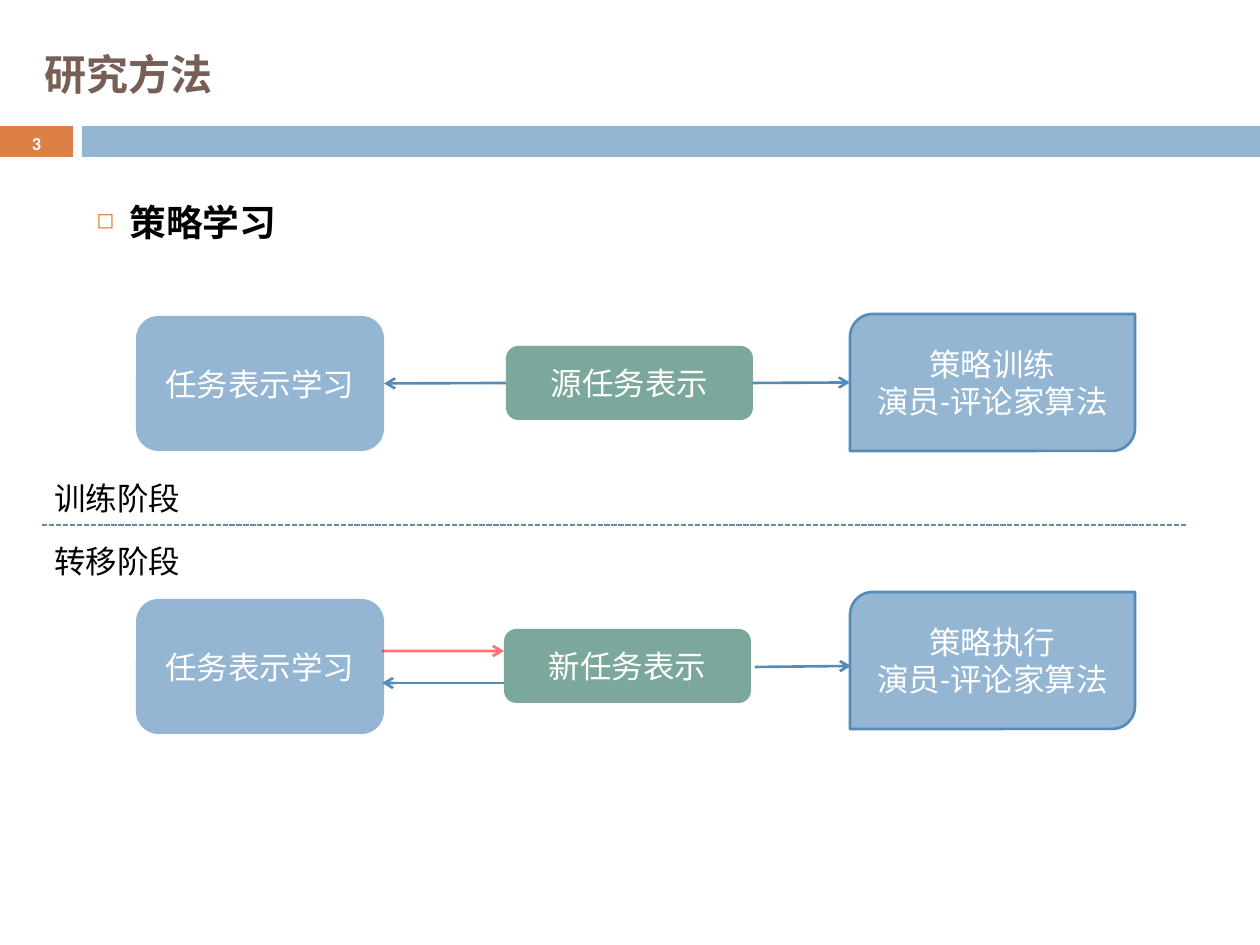
import pptx
import pptx.dml.color
import pptx.enum.dml
import pptx.enum.shapes
import pptx.enum.text
import pptx.oxml
import pptx.oxml.ns
import pptx.util

EMU_PER_PX = 914400 / 126
SHAPE = pptx.enum.shapes.MSO_SHAPE
ANCHOR = pptx.enum.text.MSO_ANCHOR
ALIGN = pptx.enum.text.PP_ALIGN
TOP, LEFT, BOTTOM, RIGHT = range(4)

BLUE, DARK_BLUE, GREEN, ORANGE = "94B6D2", "558BB8", "7BA79D", "DD8047"
WHITE, BLACK = "FFFFFF", "000000"


def px(length):
    return pptx.util.Emu(round(length * EMU_PER_PX))


def color(value):
    return pptx.dml.color.RGBColor.from_string(value)


def add_xml(parent, tag, **attributes):
    element = parent.makeelement(pptx.oxml.ns.qn(tag), attributes)
    parent.append(element)
    return element


def write(box, text, size, font, fill, bold=False, align=None, anchor=ANCHOR.MIDDLE):
    frame = box.text_frame
    frame.word_wrap = True
    frame.vertical_anchor = anchor
    frame.text = text
    for para in frame.paragraphs:
        para.alignment = align
        for span in para.runs:
            span.font.size = pptx.util.Pt(size)
            span.font.name = font
            span.font.bold = bold
            span.font.color.rgb = color(fill)


def add_label(page, bounds, *style, **options):
    box = page.shapes.add_textbox(*map(px, bounds))
    write(box, *style, **options)
    return box


def add_block(page, kind, bounds, fill, text="", outline=None):
    block = page.shapes.add_shape(kind, *map(px, bounds))
    block.shadow.inherit = False
    block.fill.solid()
    block.fill.fore_color.rgb = color(fill)
    if outline:
        block.line.color.rgb = color(outline)
        block.line.width = pptx.util.Pt(1.5)
    else:
        block.line.fill.background()
    if text:
        write(block, text, 18, "Calibri", WHITE, align=ALIGN.CENTER)
    return block


def add_line(page, points, stroke, width):
    line = page.shapes.add_connector(
        pptx.enum.shapes.MSO_CONNECTOR.STRAIGHT, *map(px, points))
    line.line.color.rgb = color(stroke)
    line.line.width = pptx.util.Pt(width)
    add_xml(line._element.spPr, "a:effectLst")
    return line


def add_arrow(page, points, stroke=DARK_BLUE):
    arrow = add_line(page, points, stroke, 1.5)
    add_xml(arrow.line._get_or_add_ln(), "a:tailEnd", type="arrow")
    return arrow


def join(page, start, start_side, end, end_side):
    arrow = add_arrow(page, (0, 0, 0, 0))
    arrow.begin_connect(start, start_side)
    arrow.end_connect(end, end_side)


def add_bullet(para):
    properties = para._p.get_or_add_pPr()
    properties.set("marL", str(px(33)))
    properties.set("indent", str(px(-33)))
    bullet_color = add_xml(properties, "a:buClr")
    add_xml(bullet_color, "a:srgbClr", val=ORANGE)
    add_xml(properties, "a:buSzPct", val="60000")
    add_xml(properties, "a:buChar", char="◻")


def add_header(page):
    add_block(page, SHAPE.RECTANGLE, (0, 126, 73, 31), ORANGE)
    add_block(page, SHAPE.RECTANGLE, (82, 126, 1178, 31), BLUE)
    add_label(page, (32, 32, 872, 84), "研究方法", 24, "TeX Gyre Pagella", "775F55", bold=True)
    add_label(page, (0, 126, 73, 34), "3", 10.5, "Calibri", WHITE, bold=True, align=ALIGN.CENTER)
    topic = add_label(page, (84, 194, 1050, 73), "策略学习", 21, "Calibri", BLACK,
                      bold=True, anchor=ANCHOR.TOP)
    para = topic.text_frame.paragraphs[0]
    para.space_before = pptx.util.Pt(5.2)
    add_bullet(para)


def add_stage(page, top, task_left, task, policy_top, policy):
    """Add the three blocks of one stage and return them from left to right."""
    learning = add_block(page, SHAPE.ROUNDED_RECTANGLE, (136, top, 248, 135), BLUE, "任务表示学习")
    middle = add_block(page, SHAPE.ROUNDED_RECTANGLE, (task_left, top + 30, 247, 74), GREEN, task)
    actor = add_block(page, SHAPE.ROUND_2_DIAG_RECTANGLE, (850, policy_top, 285, 137), BLUE,
                      policy + "\n演员-评论家算法", DARK_BLUE)
    return learning, middle, actor


def main():
    deck = pptx.Presentation()
    deck.slide_width, deck.slide_height = px(1260), px(945)
    page = deck.slides.add_slide(deck.slide_layouts[6])
    add_header(page)

    learning, source_task, training = add_stage(page, 316, 506, "源任务表示", 314, "策略训练")
    join(page, source_task, LEFT, learning, RIGHT)
    join(page, source_task, RIGHT, training, LEFT)

    divider = add_line(page, (42, 525, 1187, 525), "6D879B", 1)
    divider.line.dash_style = pptx.enum.dml.MSO_LINE.SQUARE_DOT
    for top, stage in ((473, "训练阶段"), (536, "转移阶段")):
        add_label(page, (42, top, 420, 50), stage, 18, "DejaVu Sans", BLACK, anchor=ANCHOR.TOP)

    add_stage(page, 599, 504, "新任务表示", 592, "策略执行")
    add_arrow(page, (504, 683, 382, 683))
    feedback = add_arrow(page, (382, 651, 504, 651), "FF0000")
    red = feedback.line._get_or_add_ln().find(".//" + pptx.oxml.ns.qn("a:srgbClr"))
    add_xml(red, "a:alpha", val="55000")
    add_arrow(page, (755, 667, 851, 666))

    deck.save("out.pptx")


if __name__ == "__main__":
    main()
